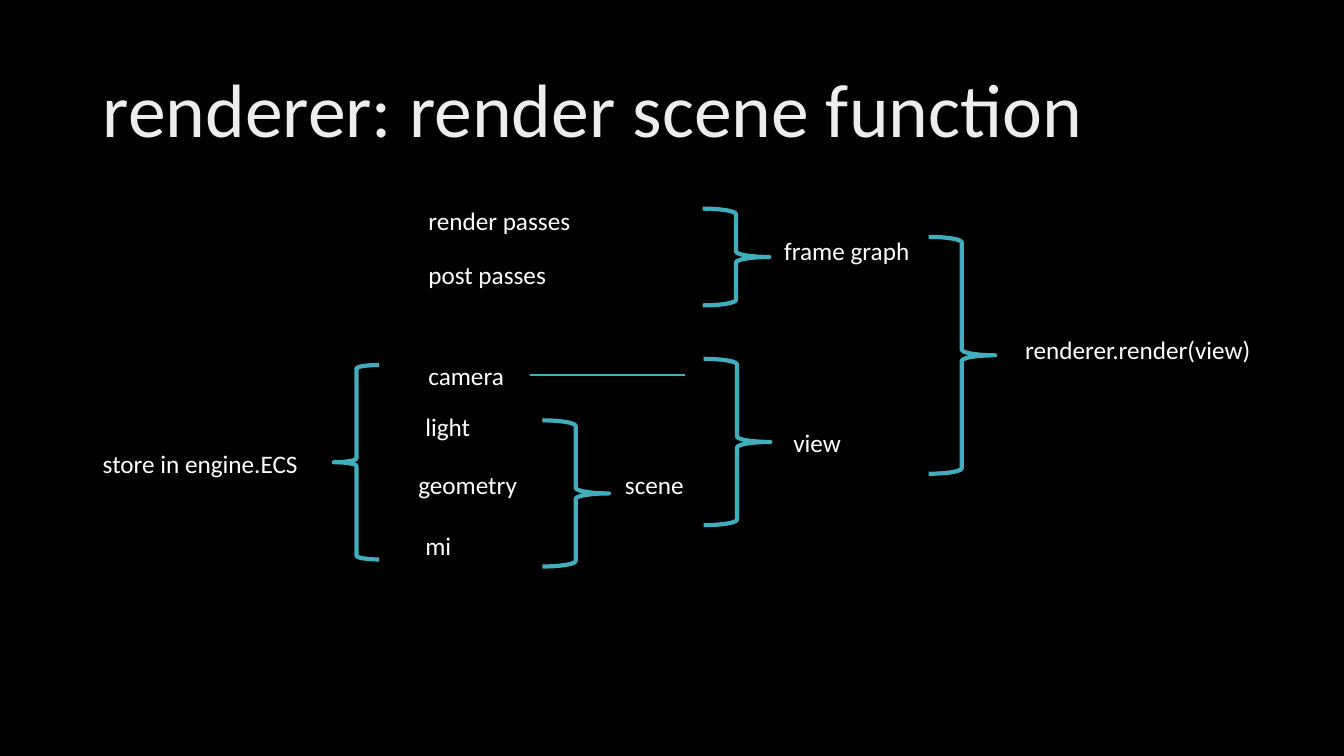
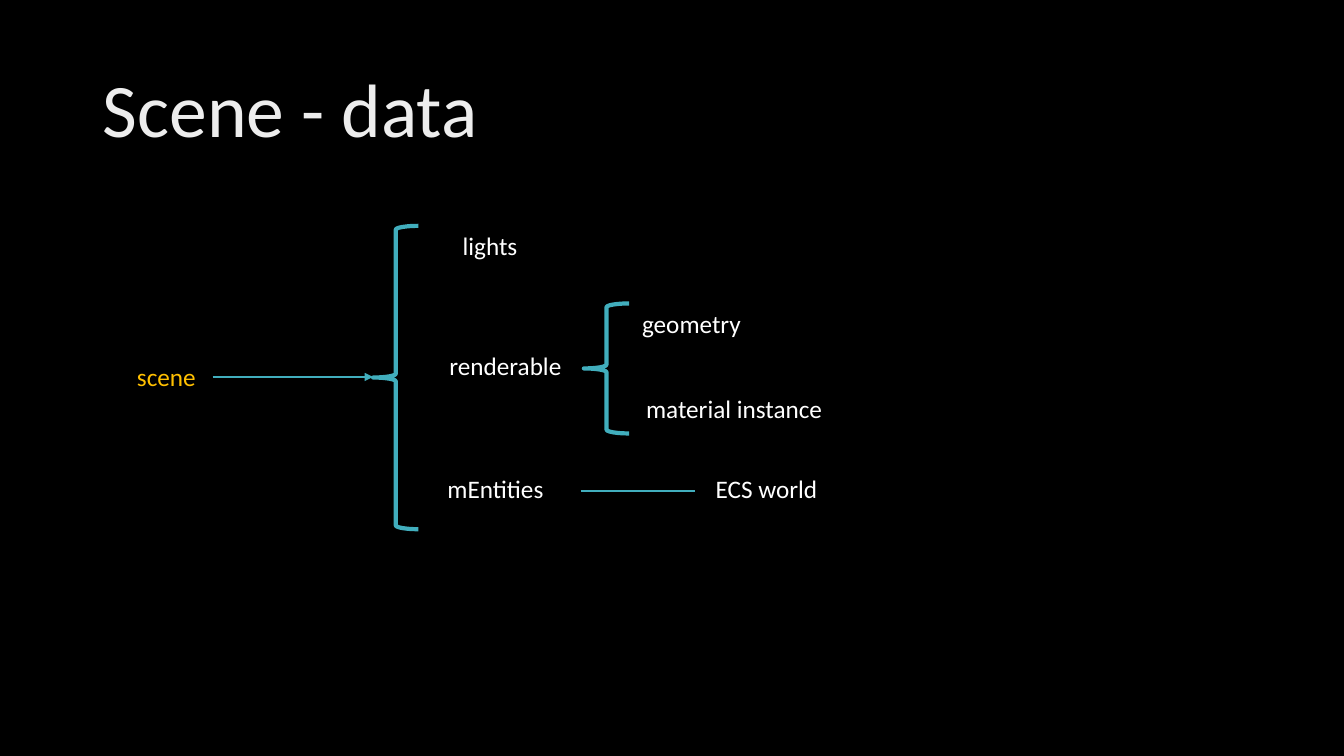
"""Build two dark slides with brace diagrams of a renderer and its scene data."""
from lxml import etree
from pptx import Presentation
from pptx.dml.color import RGBColor
from pptx.enum.shapes import MSO_CONNECTOR, MSO_SHAPE
from pptx.enum.text import MSO_ANCHOR, MSO_AUTO_SIZE, PP_ALIGN
from pptx.oxml.ns import qn
from pptx.util import Inches, Pt

STRAIGHT = MSO_CONNECTOR.STRAIGHT
BRACE = MSO_SHAPE.RIGHT_BRACE
MIDDLE = MSO_ANCHOR.MIDDLE
NO_FIT = MSO_AUTO_SIZE.NONE
LEFT = PP_ALIGN.LEFT

FONT = "Calibri"
BLACK, WHITE, TITLE = "000000", "FFFFFF", "EDEDED"
TEAL, AMBER = "41AEBD", "FFC000"
LABEL_H = 0.4
OPENS_LEFT, OPENS_RIGHT = 0, 180

SLIDES = [
    {
        "title": "renderer: render scene function",
        "labels": [
            ("render passes", 4.15, 1.99, 1.85, WHITE),
            ("post passes", 4.15, 2.52, 1.56, WHITE),
            ("camera", 4.15, 3.53, 1.02, WHITE),
            ("light", 4.12, 4.03, 0.76, WHITE),
            ("geometry", 4.05, 4.61, 1.45, WHITE),
            ("mi", 4.12, 5.21, 0.88, WHITE),
            ("scene", 6.1, 4.61, 0.89, WHITE),
            ("view", 7.77, 4.19, 0.75, WHITE),
            ("frame graph", 7.68, 2.29, 1.57, WHITE),
            ("renderer.render(view)", 10.07, 3.27, 2.65, WHITE),
            ("store in engine.ECS", 0.92, 4.4, 2.32, WHITE),
        ],
        "braces": [
            (5.38, 4.17, 0.66, 1.45, OPENS_LEFT),
            (6.98, 3.56, 0.66, 1.65, OPENS_LEFT),
            (6.97, 2.07, 0.66, 0.96, OPENS_LEFT),
            (9.21, 2.35, 0.66, 2.35, OPENS_LEFT),
            (3.31, 3.62, 0.45, 1.93, OPENS_RIGHT),
        ],
        "lines": [(5.26, 6.79, 3.72, False)],
    },
    {
        "title": "Scene - data",
        "labels": [
            ("scene", 1.26, 3.54, 0.85, AMBER),
            ("lights", 4.49, 2.24, 0.79, WHITE),
            ("renderable", 4.36, 3.43, 1.36, WHITE),
            ("geometry", 6.27, 3.01, 1.36, WHITE),
            ("material instance", 6.31, 3.85, 1.98, WHITE),
            ("mEntities", 4.34, 4.65, 1.36, WHITE),
            ("ECS world", 7, 4.65, 1.84, WHITE),
        ],
        "braces": [
            (3.7, 2.24, 0.45, 3.01, OPENS_RIGHT),
            (5.79, 3.01, 0.45, 1.29, OPENS_RIGHT),
        ],
        "lines": [(2.11, 3.7, 3.74, True), (5.76, 6.89, 4.87, False)],
    },
]


def rgb(color):
    return RGBColor.from_string(color)


def add_run(p, text, size, color):
    r = p.add_run()
    r.text = text
    r.font.name = FONT
    r.font.size = Pt(size)
    r.font.color.rgb = rgb(color)


prs = Presentation()
prs.slide_width = Inches(13.33)
prs.slide_height = Inches(7.5)
fill = prs.slide_master.background.fill
fill.solid()
fill.fore_color.rgb = rgb(BLACK)
layout = prs.slide_layouts.get_by_name("Title Only")

for content in SLIDES:
    s = prs.slides.add_slide(layout)
    title = s.shapes.title
    title.left, title.top = Inches(0.92), Inches(0.4)
    title.width, title.height = Inches(11.5), Inches(1.45)
    tf = title.text_frame
    tf.auto_size = NO_FIT
    tf.vertical_anchor = MIDDLE
    p = tf.paragraphs[0]
    p.alignment = LEFT
    p.line_spacing = 0.9
    add_run(p, content["title"], 54, TITLE)

    for text, x, y, w, color in content["labels"]:
        sp = s.shapes.add_textbox(Inches(x), Inches(y), Inches(w), Inches(LABEL_H))
        tf = sp.text_frame
        tf.word_wrap = True
        add_run(tf.paragraphs[0], text, 18, color)

    for x, y, w, h, rotation in content["braces"]:
        sp = s.shapes.add_shape(BRACE, Inches(x), Inches(y), Inches(w), Inches(h))
        sp.rotation = rotation
        sp.shadow.inherit = False
        sp.fill.background()
        sp.line.color.rgb = rgb(TEAL)
        sp.line.width = Pt(3)

    for x1, x2, y, arrow in content["lines"]:
        line = s.shapes.add_connector(STRAIGHT, Inches(x1), Inches(y), Inches(x2), Inches(y))
        line.line.color.rgb = rgb(TEAL)
        line.line.width = Pt(1.5)
        sp_pr = line._element.spPr
        etree.SubElement(sp_pr, qn("a:effectLst"))
        if arrow:
            etree.SubElement(sp_pr.find(qn("a:ln")), qn("a:tailEnd"), type="triangle")

prs.save("out.pptx")
